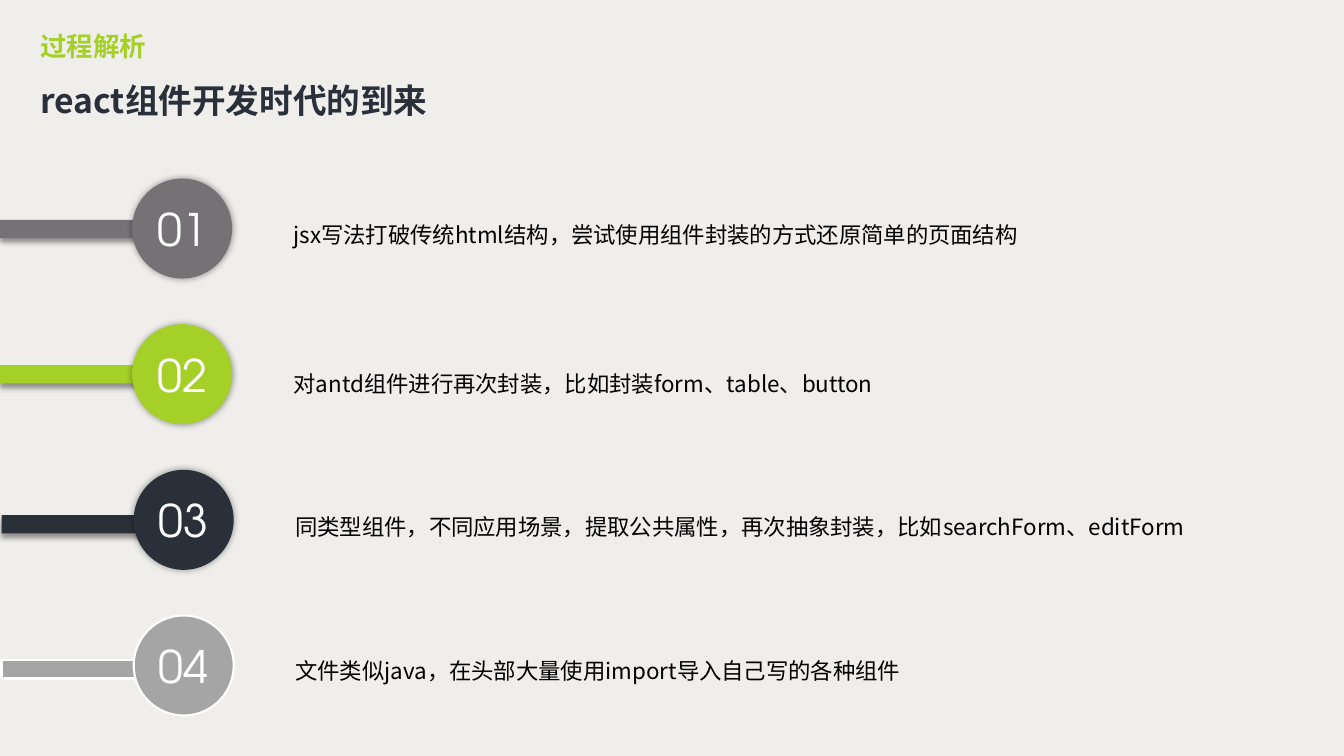
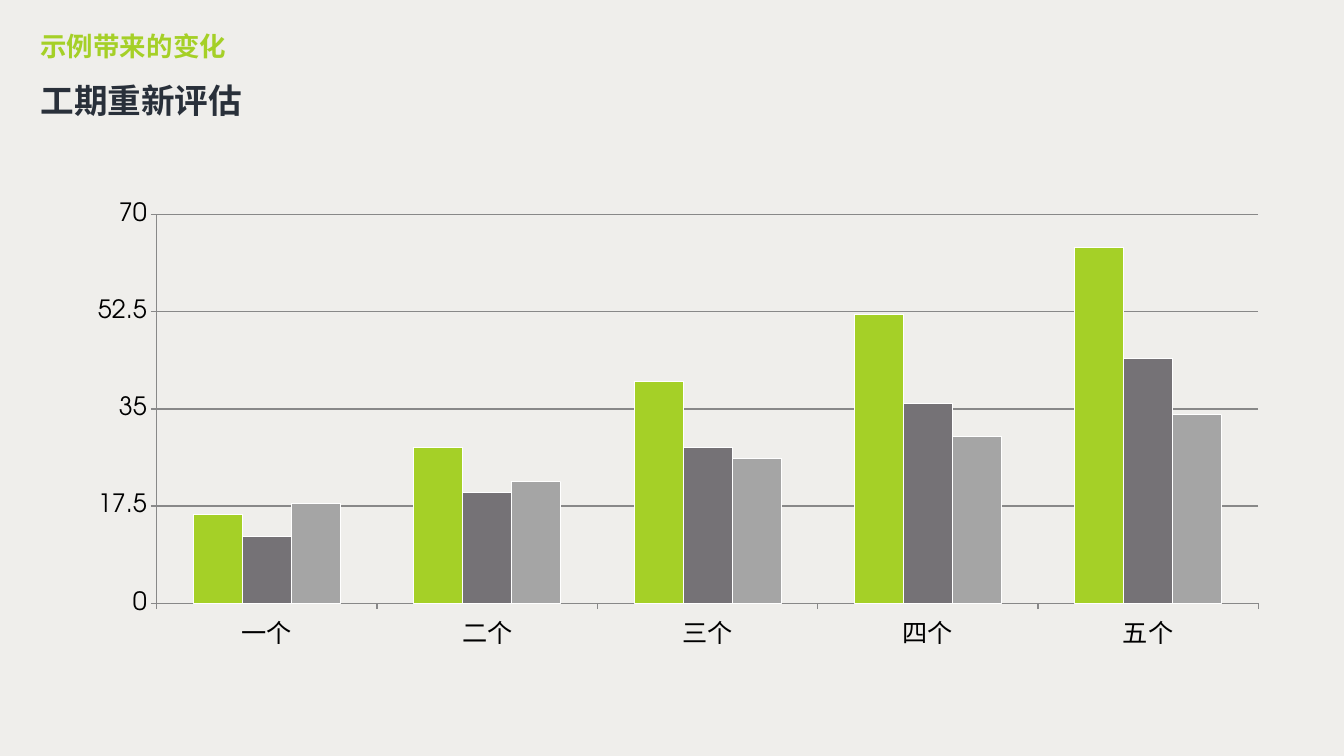
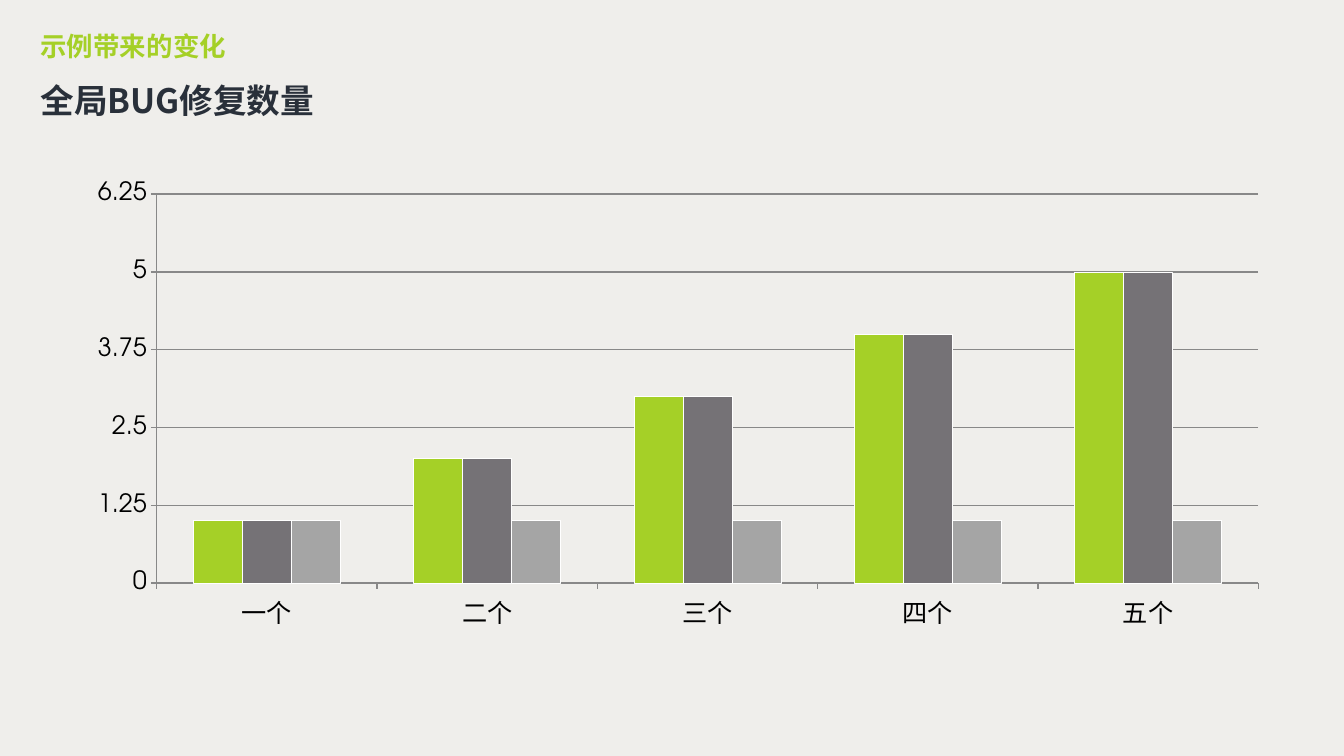
"""Builds three slides: component steps, and two charts of the changes they bring."""
from lxml import etree
from pptx import Presentation
from pptx.chart.data import CategoryChartData
from pptx.dml.color import RGBColor
from pptx.enum.chart import XL_CHART_TYPE, XL_TICK_LABEL_POSITION, XL_TICK_MARK
from pptx.enum.shapes import MSO_SHAPE
from pptx.enum.text import MSO_ANCHOR, PP_ALIGN
from pptx.oxml import parse_xml
from pptx.oxml.ns import nsdecls, qn
from pptx.util import Cm, Pt

CLUSTERED = XL_CHART_TYPE.COLUMN_CLUSTERED
LOW = XL_TICK_LABEL_POSITION.LOW
TICK_OUT, TICK_NONE = XL_TICK_MARK.OUTSIDE, XL_TICK_MARK.NONE
RECTANGLE, OVAL = MSO_SHAPE.RECTANGLE, MSO_SHAPE.OVAL
TOP, MIDDLE = MSO_ANCHOR.TOP, MSO_ANCHOR.MIDDLE
LEFT, CENTER = PP_ALIGN.LEFT, PP_ALIGN.CENTER

PAPER = RGBColor(0xEF, 0xEE, 0xEB)
GREEN = RGBColor(0xA5, 0xD0, 0x27)
GRAY = RGBColor(0x75, 0x72, 0x76)
SILVER = RGBColor(0xA5, 0xA5, 0xA5)
NAVY = RGBColor(0x29, 0x30, 0x3A)
AXIS = RGBColor(0x88, 0x88, 0x88)
WHITE = RGBColor(0xFF, 0xFF, 0xFF)
BLACK = RGBColor(0, 0, 0)

CJK_FONT = "Noto Sans CJK SC"
LATIN_FONT = "TeX Gyre Adventor"

STEPS_HEADING = ("过程解析", "react组件开发时代的到来")
STEPS = [
    dict(text="jsx写法打破传统html结构，尝试使用组件封装的方式还原简单的页面结构",
         color=GRAY, shift=0, bar_top=5.54, text_top=5.23, shadow=True),
    dict(text="对antd组件进行再次封装，比如封装form、table、button",
         color=GREEN, shift=0, bar_top=9.2, text_top=8.99, shadow=True),
    dict(text="同类型组件，不同应用场景，提取公共属性，再次抽象封装，比如searchForm、editForm",
         color=NAVY, shift=0.04, bar_top=12.98, text_top=12.6, shadow=True),
    dict(text="文件类似java，在头部大量使用import导入自己写的各种组件",
         color=SILVER, shift=0.04, bar_top=16.64, text_top=16.23, shadow=False),
]
FIRST_CIRCLE_TOP, STEP_PITCH, CIRCLE_SIZE = 4.5, 3.67, 2.52

CATEGORIES = ["一个", "二个", "三个", "四个", "五个"]
SERIES_COLORS = [GREEN, GRAY, SILVER]
CHARTS = [
    dict(heading=("示例带来的变化", "工期重新评估"), top=4.62, maximum=70, unit=17.5,
         rows=[(16, 28, 40, 52, 64), (12, 20, 28, 36, 44), (18, 22, 26, 30, 34)]),
    dict(heading=("示例带来的变化", "全局BUG修复数量"), top=4.11, maximum=6.25, unit=1.25,
         rows=[(1, 2, 3, 4, 5), (1, 2, 3, 4, 5), (1, 1, 1, 1, 1)]),
]
PLOT_AREA = {"x": 0.065, "y": 0.065, "w": 0.93, "h": 0.814}


def write(shape, text, size, color, font, bold=False, align=LEFT, anchor=TOP):
    """Put one formatted run in a shape and return its paragraph."""
    frame = shape.text_frame
    frame.word_wrap = True
    frame.vertical_anchor = anchor
    frame.margin_left = frame.margin_right = Cm(0.13)
    frame.margin_top = frame.margin_bottom = Cm(0.13)
    para = frame.paragraphs[0]
    para.alignment = align
    span = para.add_run()
    span.text = text
    span.font.size, span.font.bold, span.font.name = Pt(size), bold, font
    span.font.color.rgb = color
    east_asian = etree.SubElement(span._r.get_or_add_rPr(), qn("a:ea"))
    east_asian.set("typeface", CJK_FONT)
    return para


def add_page(deck, heading):
    """Add a slide with its green kicker and dark title."""
    kicker, title = heading
    page = deck.slides.add_slide(deck.slide_layouts[5])
    holder = page.shapes.title
    holder.left, holder.top, holder.width, holder.height = Cm(0.89), Cm(1.88), Cm(14.2), Cm(1.47)
    write(holder, title, 24, NAVY, CJK_FONT, bold=True)
    box = page.shapes.add_textbox(Cm(0.89), Cm(0.71), Cm(9.75), Cm(1.17))
    para = write(box, kicker, 18.9, GREEN, LATIN_FONT, bold=True)
    para.line_spacing, para.space_before = 0.9, Pt(7)
    return page


def add_piece(page, kind, left, top, width, height, step, blur, distance):
    """Add a bar or circle, shadowed or outlined in white."""
    piece = page.shapes.add_shape(kind, Cm(left), Cm(top), Cm(width), Cm(height))
    piece.shadow.inherit = False
    piece.fill.solid()
    piece.fill.fore_color.rgb = step["color"]
    if step["shadow"]:
        piece.line.fill.background()
        effects = piece._element.spPr.find(qn("a:effectLst"))
        effects.append(parse_xml(
            f'<a:outerShdw {nsdecls("a")} blurRad="{Pt(blur)}" dist="{Pt(distance)}" '
            f'dir="{5400000 if distance else 0}" rotWithShape="0">'
            '<a:srgbClr val="000000"><a:alpha val="40000"/></a:srgbClr></a:outerShdw>'))
    else:
        piece.line.color.rgb = WHITE
        piece.line.width = Pt(1.5)
    return piece


def add_steps(page):
    """Draw the numbered steps down the page."""
    for index, step in enumerate(STEPS):
        shift = step["shift"]
        add_piece(page, RECTANGLE, shift, step["bar_top"], 4.9, 0.46, step, 4, 3)
        circle = add_piece(page, OVAL, 3.33 + shift, FIRST_CIRCLE_TOP + index * STEP_PITCH,
                           CIRCLE_SIZE, CIRCLE_SIZE, step, 5, 0)
        write(circle, f"{index + 1:02}", 32, WHITE, LATIN_FONT, align=CENTER, anchor=MIDDLE)
        box = page.shapes.add_textbox(Cm(7.27 + shift), Cm(step["text_top"]), Cm(24.82), Cm(1.04))
        write(box, step["text"], 16, BLACK, CJK_FONT).line_spacing = 1.3


def style_axis(axis):
    """Give an axis its ticks, line and label font."""
    axis.major_tick_mark, axis.minor_tick_mark = TICK_OUT, TICK_NONE
    axis.format.line.color.rgb = AXIS
    axis.format.line.width = Pt(1)
    font = axis.tick_labels.font
    font.size, font.name = Pt(18), LATIN_FONT
    font.color.rgb = BLACK


def place_plot(chart):
    """Fix the inner plot area as fractions of the chart."""
    plot_area = chart._chartSpace.chart.plotArea
    for layout in plot_area.findall(qn("c:layout")):
        plot_area.remove(layout)
    modes = "".join(f'<c:{side}Mode val="edge"/>' for side in "xy")
    sizes = "".join(f'<c:{side} val="{value}"/>' for side, value in PLOT_AREA.items())
    plot_area.insert(0, parse_xml(
        f'<c:layout {nsdecls("c")}><c:manualLayout><c:layoutTarget val="inner"/>'
        f'{modes}{sizes}</c:manualLayout></c:layout>'))


def add_columns(page, content):
    """Draw a clustered column chart."""
    data = CategoryChartData()
    data.categories = CATEGORIES
    for number, values in enumerate(content["rows"], 1):
        data.add_series(f"Series {number}", values)
    chart = page.shapes.add_chart(CLUSTERED, Cm(2.01), Cm(content["top"]),
                                  Cm(29.85), Cm(12.04), data).chart
    chart.has_legend = chart.has_title = False
    chart.font.size, chart.font.name = Pt(10), LATIN_FONT
    chart.font.color.rgb = BLACK
    plot = chart.plots[0]
    plot.gap_width, plot.overlap, plot.vary_by_categories = 150, 0, False
    for series, color in zip(plot.series, SERIES_COLORS):
        series.format.fill.solid()
        series.format.fill.fore_color.rgb = color
        series.format.line.color.rgb = WHITE
        series.format.line.width = Pt(0.5)
    style_axis(chart.category_axis)
    chart.category_axis.tick_label_position = LOW
    scale = chart.value_axis
    style_axis(scale)
    scale.minimum_scale, scale.maximum_scale = 0, content["maximum"]
    scale.major_unit = content["unit"]
    scale.major_gridlines.format.line.color.rgb = AXIS
    scale.major_gridlines.format.line.width = Pt(1)
    place_plot(chart)


def main():
    """Build and save the deck."""
    deck = Presentation()
    deck.slide_width, deck.slide_height = Cm(33.87), Cm(19.05)
    backdrop = deck.slide_master.background.fill
    backdrop.solid()
    backdrop.fore_color.rgb = PAPER
    add_steps(add_page(deck, STEPS_HEADING))
    for content in CHARTS:
        add_columns(add_page(deck, content["heading"]), content)
    deck.save("out.pptx")


if __name__ == "__main__":
    main()
